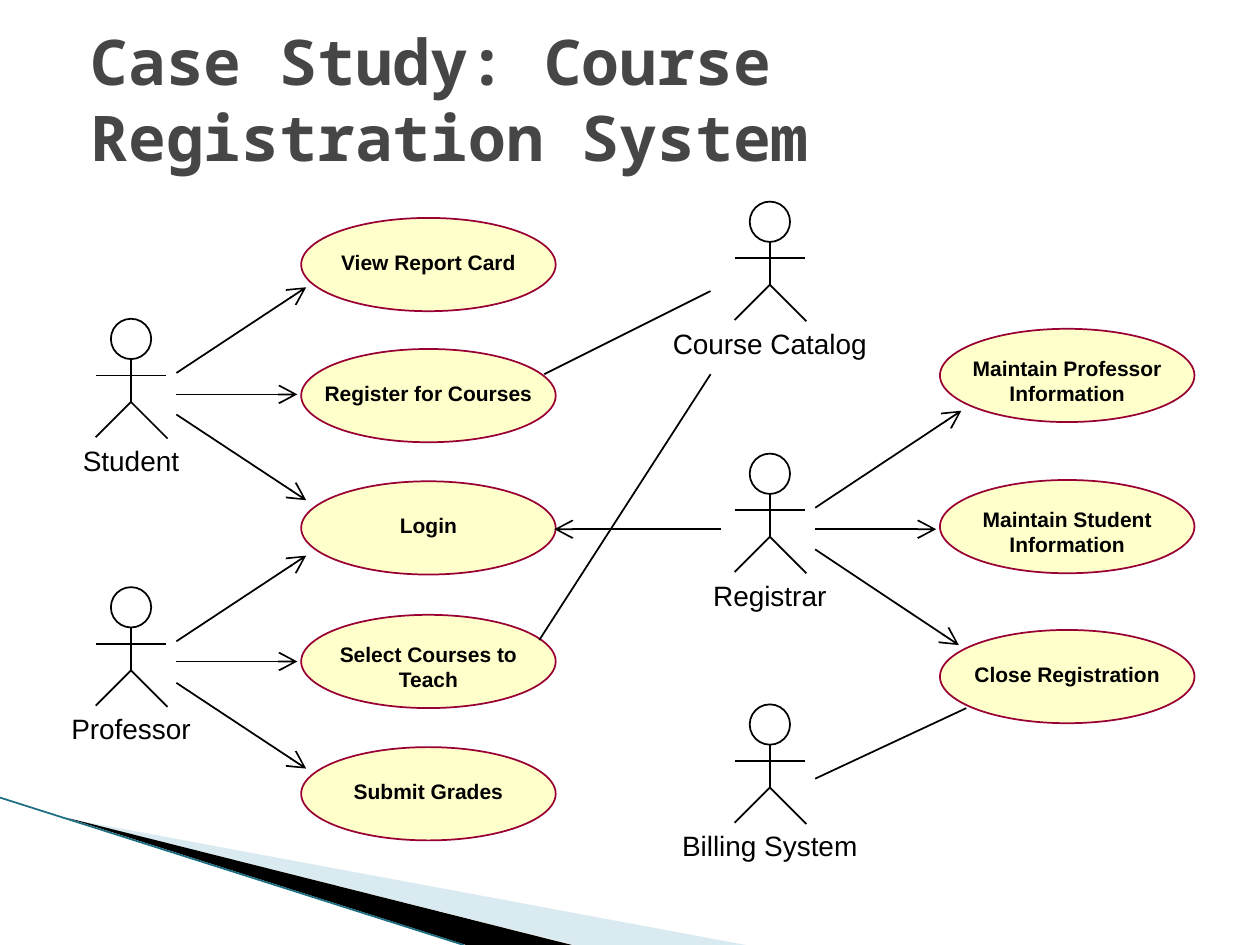
from lxml.etree import SubElement
from pptx import Presentation
from pptx.dml.color import RGBColor
from pptx.enum.shapes import MSO_CONNECTOR, MSO_SHAPE
from pptx.enum.text import MSO_ANCHOR, PP_ALIGN
from pptx.oxml.ns import qn
from pptx.util import Inches, Pt


def color(value):
    return RGBColor.from_string(value)


def write(tf, text, size=12, font="Arial", fill="000000", bold=False, align=PP_ALIGN.CENTER):
    for i, line in enumerate(text.split("\n")):
        p = tf.paragraphs[0] if i == 0 else tf.add_paragraph()
        p.alignment = align
        r = p.add_run()
        r.text = line
        r.font.size = Pt(size)
        r.font.name = font
        r.font.bold = bold
        r.font.color.rgb = color(fill)


class Diagram:
    ink = "000000"
    case_fill = "FFFFCC"
    case_line = "990033"
    case_size = (2.02, 0.74)

    def __init__(self, slide):
        self.s = slide

    def paint(self, sp, fill=None, line=None, alpha=None):
        sp.shadow.inherit = False
        if fill:
            sp.fill.solid()
            sp.fill.fore_color.rgb = color(fill)
        else:
            sp.fill.background()
        if alpha:
            clr = sp.fill._xPr.find(qn("a:solidFill"))[0]
            SubElement(clr, qn("a:alpha"), val=str(alpha * 1000))
        if line:
            sp.line.color.rgb = color(line)
            sp.line.width = Pt(1)
        else:
            sp.line.fill.background()

    def text(self, x, y, w, h, text, anchor=MSO_ANCHOR.TOP, wrap=True, **style):
        sp = self.s.shapes.add_textbox(Inches(x), Inches(y), Inches(w), Inches(h))
        tf = sp.text_frame
        tf.word_wrap = wrap
        tf.vertical_anchor = anchor
        write(tf, text, **style)

    def ellipse(self, x, y, w, h, fill=None, line=ink):
        sp = self.s.shapes.add_shape(MSO_SHAPE.OVAL, Inches(x), Inches(y), Inches(w), Inches(h))
        self.paint(sp, fill, line)

    def outline(self, points, close=True, **style):
        pts = [(Inches(x), Inches(y)) for x, y in points]
        builder = self.s.shapes.build_freeform(*pts[0])
        builder.add_line_segments(pts[1:], close=close)
        self.paint(builder.convert_to_shape(), **style)

    def line(self, x1, y1, x2, y2, arrow=False, stroke=ink):
        sp = self.s.shapes.add_connector(
            MSO_CONNECTOR.STRAIGHT, Inches(x1), Inches(y1), Inches(x2), Inches(y2))
        sp.line.color.rgb = color(stroke)
        sp.line.width = Pt(1)
        if arrow:
            SubElement(sp.line._get_or_add_ln(), qn("a:tailEnd"), type="arrow", w="lg", len="lg")
        SubElement(sp._element.spPr, qn("a:effectLst"))

    def use_case(self, x, y, label):
        w, h = self.case_size
        self.ellipse(x, y, w, h, self.case_fill, self.case_line)
        extra = label.count("\n")
        self.text(x, y + 0.2 - 0.04 * extra, w, 0.3 + 0.21 * extra, label, wrap=False, bold=True)

    def actor(self, x, y, label):
        self.ellipse(x - 0.16, y, 0.32, 0.32)
        self.line(x, y + 0.32, x, y + 0.66)
        self.line(x - 0.28, y + 0.45, x + 0.28, y + 0.45)
        self.outline([(x - 0.28, y + 0.94), (x, y + 0.66), (x + 0.29, y + 0.95)],
                     close=False, line=self.ink)
        self.text(x - 0.9, y + 0.94, 1.8, 0.39, label, wrap=False, size=16)


ACTORS = [
    (1.04, 2.53, "Student"), (1.04, 4.66, "Professor"), (6.11, 1.6, "Course Catalog"),
    (6.11, 3.6, "Registrar"), (6.11, 5.59, "Billing System"),
]
USE_CASES = {
    2.39: [(1.73, "View Report Card"), (2.77, "Register for Courses"), (3.82, "Login"),
           (4.88, "Select Courses to\nTeach"), (5.93, "Submit Grades")],
    7.46: [(2.61, "Maintain Professor\nInformation"), (3.81, "Maintain Student\nInformation"),
           (5, "Close Registration")],
}
ARROWS = [
    (1.4, 2.96, 2.43, 2.28), (1.4, 3.13, 2.36, 3.13), (1.4, 3.29, 2.43, 3.97),
    (1.4, 5.09, 2.43, 4.41), (1.4, 5.25, 2.36, 5.25), (1.4, 5.42, 2.43, 6.1),
    (6.47, 4.03, 7.63, 3.26), (6.47, 4.2, 7.43, 4.2), (6.47, 4.36, 7.61, 5.12),
    (5.72, 4.2, 4.4, 4.2),
]
LINKS = [(4.28, 5.08, 5.64, 2.97), (4.32, 2.97, 5.64, 2.31), (6.47, 6.18, 7.67, 5.62)]


def main():
    prs = Presentation()
    prs.slide_width, prs.slide_height = Inches(10), Inches(7.5)
    d = Diagram(prs.slides.add_slide(prs.slide_layouts[6]))

    d.outline([(0.55, 6.5), (5.92, 7.5), (4.56, 7.5)], fill="A0CBDC", alpha=40)
    d.outline([(0.53, 6.49), (4.54, 7.5), (3.7, 7.5)], fill="000000")
    d.line(0, 6.33, 3.68, 7.5, stroke="1B6E82")
    d.text(0.62, 0, 8.88, 1.56, "Case Study: Course Registration System", anchor=MSO_ANCHOR.MIDDLE,
           size=36, font="Noto Sans Mono", fill="464646", bold=True, align=PP_ALIGN.LEFT)

    for x, cases in USE_CASES.items():
        for y, label in cases:
            d.use_case(x, y, label)
    for actor in ACTORS:
        d.actor(*actor)
    for arrow in ARROWS:
        d.line(*arrow, arrow=True)
    for link in LINKS:
        d.line(*link)
    prs.save("out.pptx")


if __name__ == "__main__":
    main()
